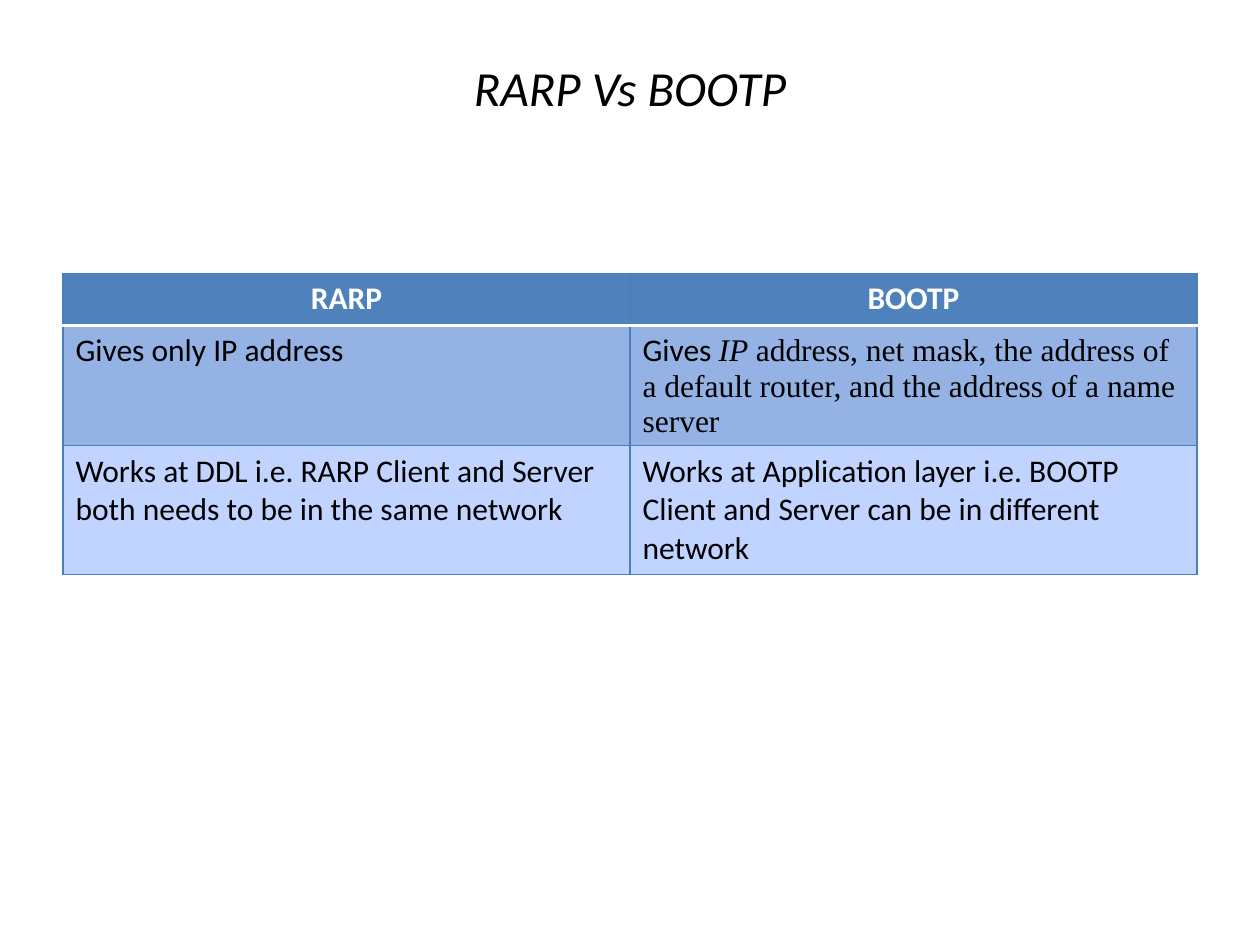
from lxml import etree
from pptx import Presentation
from pptx.dml.color import RGBColor
from pptx.enum import text
from pptx.oxml import ns
from pptx.util import Inches, Pt

BLUE, EDGE, WHITE, BLACK = "4F81BD", "4B7EBC", "FFFFFF", "000000"
HEADS = ["RARP", "BOOTP"]
ROWS = [
    [["Gives only IP address"],
     ["Gives ", "IP ", "address, net mask, the address of a default router, "
      "and the address of a name server"]],
    [["Works at DDL i.e. RARP Client and Server both needs to be in the same network"],
     ["Works at Application layer i.e. BOOTP Client and Server can be in different network"]],
]
FILLS = ["94B2E4", "C0D4FF"]
HEIGHTS = [0.41, 0.95, 1.02]


def color(code):
    return RGBColor.from_string(code)


def style(font, size, code, bold=False, italic=False):
    font.name = "Calibri"
    font.size = Pt(size)
    font.color.rgb = color(code)
    font.bold = bold
    font.italic = italic


def add_title(slide, words):
    title = slide.shapes.title
    title.left, title.top = Inches(0.5), Inches(0.3)
    title.width, title.height = Inches(9), Inches(0.78)
    frame = title.text_frame
    frame.text = words
    frame.vertical_anchor = text.MSO_ANCHOR.MIDDLE
    para = frame.paragraphs[0]
    para.alignment = text.PP_ALIGN.CENTER
    style(para.font, 28, BLACK, italic=True)


def add_edges(cell, **special):
    props = cell._tc.get_or_add_tcPr()
    for place, side in enumerate("LRTB"):
        code, width = special.get(side, (EDGE, 0.75))
        line = etree.Element(ns.qn(f"a:ln{side}"), w=str(Pt(width)))
        fill = etree.SubElement(line, ns.qn("a:solidFill"))
        etree.SubElement(fill, ns.qn("a:srgbClr"), val=code)
        props.insert(place, line)


def fill_cell(cell, parts, back, code, bold=False):
    cell.fill.solid()
    cell.fill.fore_color.rgb = color(back)
    para = cell.text_frame.paragraphs[0]
    for part in parts:
        para.add_run().text = part
    style(para.font, 18, code, bold)
    return para


def add_table(slide):
    table = slide.shapes.add_table(
        len(HEIGHTS), len(HEADS), Inches(0.5), Inches(2.17),
        Inches(9), Inches(sum(HEIGHTS))).table
    for row, height in zip(table.rows, HEIGHTS):
        row.height = Inches(height)
    rule = (WHITE, 2)
    for col, head in enumerate(HEADS):
        cell = table.cell(0, col)
        para = fill_cell(cell, [head], BLUE, WHITE, bold=True)
        para.alignment = text.PP_ALIGN.CENTER
        add_edges(cell, B=rule)
    for row, (cells, back) in enumerate(zip(ROWS, FILLS), 1):
        for col, parts in enumerate(cells):
            cell = table.cell(row, col)
            para = fill_cell(cell, parts, back, BLACK)
            for run in para.runs[1:]:
                run.font.name = "Times New Roman"
                run.font.italic = run.text == "IP "
            add_edges(cell, **({"T": rule} if row == 1 else {}))


def main():
    deck = Presentation()
    deck.slide_width, deck.slide_height = Inches(10), Inches(7.5)
    slide = deck.slides.add_slide(deck.slide_layouts[5])
    add_title(slide, "RARP Vs BOOTP")
    add_table(slide)
    deck.save("out.pptx")


if __name__ == "__main__":
    main()
